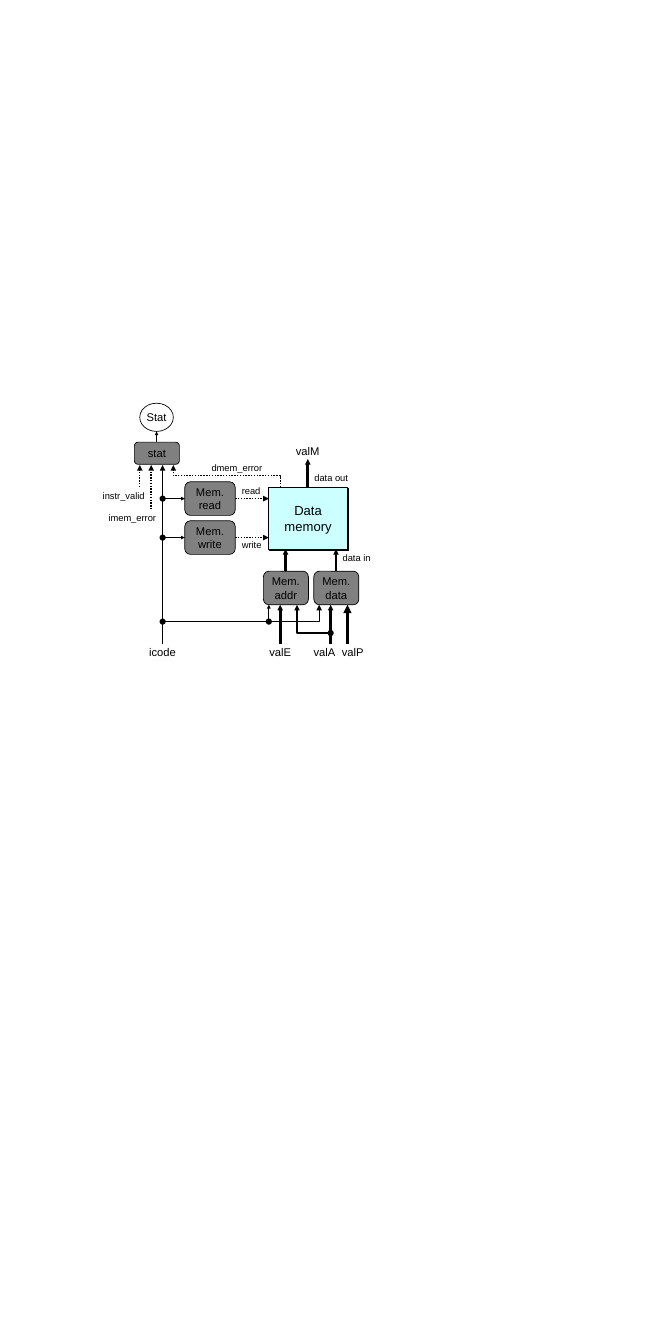
from lxml.etree import SubElement
from pptx import Presentation
from pptx.dml.color import RGBColor
from pptx.enum.dml import MSO_LINE
from pptx.enum.shapes import MSO_CONNECTOR, MSO_SHAPE
from pptx.enum.text import MSO_ANCHOR, PP_ALIGN
from pptx.oxml.ns import qn
from pptx.util import Inches, Pt

rgb = RGBColor.from_string
OVAL, ROUND, RECT = MSO_SHAPE.OVAL, MSO_SHAPE.ROUNDED_RECTANGLE, MSO_SHAPE.RECTANGLE
LEFT, CENTER, RIGHT = PP_ALIGN.LEFT, PP_ALIGN.CENTER, PP_ALIGN.RIGHT
BLACK, GRAY, WHITE, CYAN = "000000", "808080", "FFFFFF", "CCFFFF"

prs = Presentation()
prs.slide_width, prs.slide_height = Inches(10), Inches(20)
s = prs.slides.add_slide(prs.slide_layouts[6])


def add_text(text, x, y, w, h, kind=None, fill=None, size=12, align=CENTER):
    """Add a shape of the given kind, or a text box, with one paragraph per line."""
    box = [Inches(v) for v in (x, y, w, h)]
    if kind is None:
        sp = s.shapes.add_textbox(*box)
    else:
        sp = s.shapes.add_shape(kind, *box)
        sp.shadow.inherit = False
        if fill:
            sp.fill.solid()
            sp.fill.fore_color.rgb = rgb(fill)
            sp.line.color.rgb = rgb(BLACK)
            sp.line.width = Pt(0.75)
        else:
            sp.fill.background()
            sp.line.fill.background()
    tf = sp.text_frame
    tf.word_wrap = kind is None
    tf.vertical_anchor = MSO_ANCHOR.MIDDLE if kind else MSO_ANCHOR.TOP
    tf.text = text
    for p in tf.paragraphs:
        p.alignment = align
        p.font.name, p.font.size = "Arial", Pt(size)
        p.font.color.rgb = rgb(BLACK)
    return sp


def add_wire(points, width, head="med", dotted=False):
    """Draw a line through the points with an arrowhead at the last one."""
    pts = [(Inches(x), Inches(y)) for x, y in points]
    if len(pts) == 2:
        sp = s.shapes.add_connector(MSO_CONNECTOR.STRAIGHT, *pts[0], *pts[1])
    else:
        path = s.shapes.build_freeform(*pts[0], scale=1.0)
        path.add_line_segments(pts[1:], close=False)
        sp = path.convert_to_shape()
        sp.fill.background()
    sp.line.color.rgb = rgb(BLACK)
    sp.line.width = Pt(width)
    if dotted:
        sp.line.dash_style = MSO_LINE.ROUND_DOT
    sp_pr = sp._element.spPr
    SubElement(sp_pr.find(qn("a:ln")), qn("a:tailEnd"), type="triangle", w=head, len=head)
    SubElement(sp_pr, qn("a:effectLst"))


# Data buses
for x, top, bottom in [(4.92, 9, 9.58), (4.17, 9, 9.58), (4.25, 8.17, 8.5),
                       (5, 8.17, 8.5), (4.58, 6.83, 7.25)]:
    add_wire([(x, bottom), (x, top)], 3, "sm")
add_wire([(5.17, 9.58), (5.17, 9)], 3)
add_wire([(4.92, 9.42), (4.42, 9.42), (4.42, 9)], 3, "sm")

# Control wires from icode
add_wire([(2.42, 9.58), (2.42, 6.92)], 1)
add_wire([(2.42, 9.25), (4.75, 9.25), (4.75, 9)], 1)
add_wire([(4, 9.25), (4, 9)], 1, "sm")
add_wire([(2.33, 6.58), (2.33, 6.42)], 1, "sm")
for y in (7.42, 8):
    add_wire([(2.42, y), (2.75, y)], 1, "sm")
    add_wire([(3.5, y), (4, y)], 1.5, dotted=True)

# Status signals
add_wire([(4.17, 7.25), (4.17, 7.08), (2.58, 7.08), (2.58, 6.92)], 1.5, dotted=True)
add_wire([(2.25, 7.58), (2.25, 6.92)], 1.5, dotted=True)
add_wire([(2.08, 7.25), (2.08, 6.92)], 1.5, dotted=True)

# Junctions
for x, y in [(2.42, 7.42), (2.42, 8), (2.42, 9.25), (4, 9.25), (4.92, 9.42)]:
    add_text("", x - 0.04, y - 0.04, 0.08, 0.08, OVAL, BLACK)

# Blocks
memory = add_text("Data\nmemory", 4, 7.25, 1.17, 0.92, RECT, CYAN, 14)
effects = memory._element.spPr.find(qn("a:effectLst"))
shadow = SubElement(effects, qn("a:outerShdw"), blurRad="0", dist=str(Pt(1.4)),
                    dir="2700000", algn="ctr", rotWithShape="0")
SubElement(shadow, qn("a:srgbClr"), val=BLACK)

for text, x, y, w, h in [("Mem.\nread", 2.75, 7.17, 0.75, 0.5),
                         ("Mem.\nwrite", 2.75, 7.75, 0.75, 0.5),
                         ("Mem.\naddr", 3.92, 8.5, 0.67, 0.5),
                         ("Mem.\ndata", 4.67, 8.5, 0.67, 0.5),
                         ("stat", 2, 6.58, 0.67, 0.33)]:
    add_text(text, x, y, w, h, ROUND, GRAY)
add_text("Stat", 2.08, 6, 0.5, 0.42, OVAL, WHITE)

# Value names
for text, x, y in [("icode", 2.17, 9.5), ("valE", 3.92, 9.5), ("valA", 4.58, 9.5),
                   ("valP", 5, 9.5), ("valM", 4.33, 6.5)]:
    add_text(text, x, y, 0.5, 0.42, OVAL)

# Signal names
for text, x, y, w, align in [("read", 3.5, 7.17, 0.67, LEFT),
                             ("write", 3.5, 7.98, 0.58, LEFT),
                             ("data out", 4.58, 6.98, 0.83, LEFT),
                             ("data in", 5, 8.17, 0.83, LEFT),
                             ("dmem_error", 2.67, 6.83, 1.33, RIGHT),
                             ("instr_valid", 1.42, 7.25, 0.83, RIGHT),
                             ("imem_error", 1.5, 7.58, 0.92, RIGHT)]:
    add_text(text, x, y, w, 0.27, size=10, align=align)

prs.save("out.pptx")
